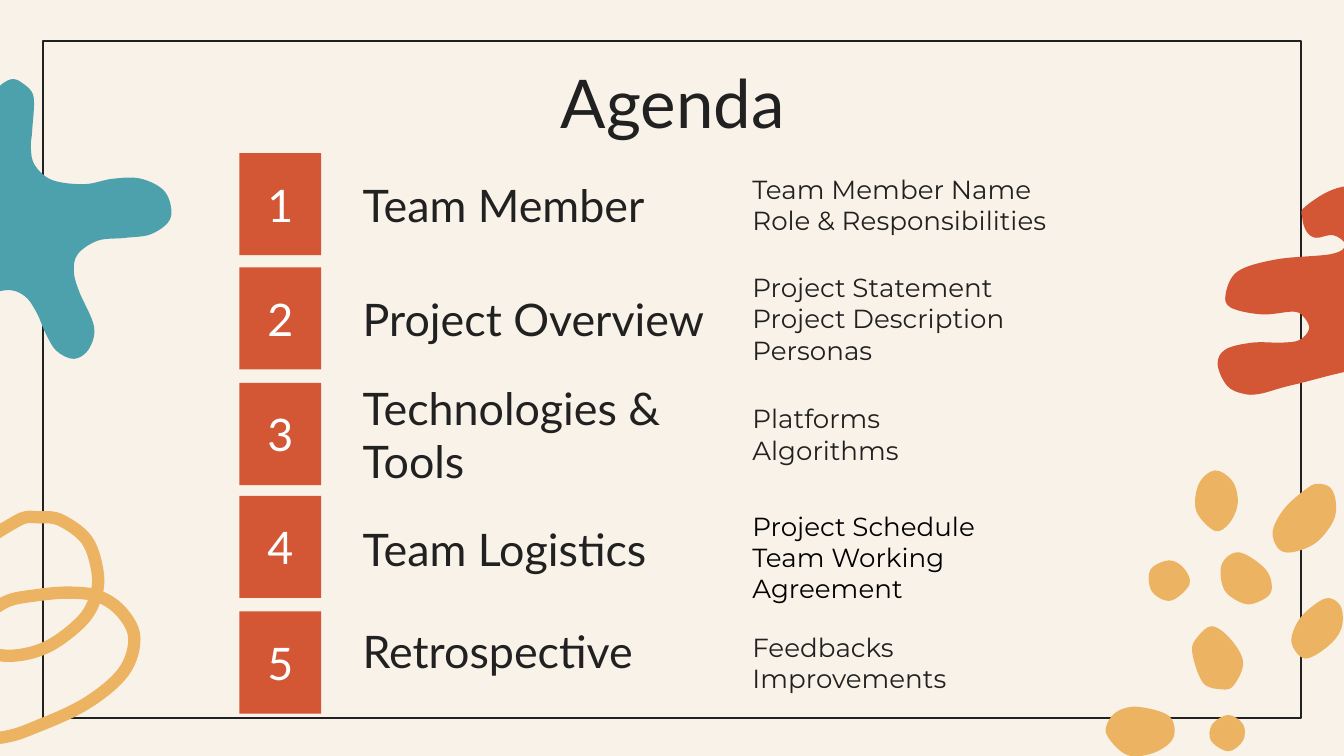
"""Build an agenda slide with five numbered topics among organic shapes."""
from lxml.etree import Element
from pptx import Presentation
from pptx.enum.shapes import MSO_SHAPE as Shape
from pptx.enum.text import MSO_ANCHOR as Anchor, PP_ALIGN as Align
from pptx.dml.color import RGBColor
from pptx.oxml.ns import qn
from pptx.util import Pt

INK, CREAM, WHITE = "212121", "F9F2E8", "FFFFFF"
RED, TEAL, GOLD = "D35635", "4DA1AD", "ECB462"
GRID = 0.72


def paint(fill, colour):
    fill.solid()
    fill.fore_color.rgb = RGBColor.from_string(colour)


def write(text, left, top, width, height, font="Lato", size=24, colour=INK,
          align=Align.LEFT, anchor=Anchor.MIDDLE, fill=None, inset=7.2):
    area = Pt(left), Pt(top), Pt(width), Pt(height)
    if fill:
        box = page.shapes.add_shape(Shape.RECTANGLE, *area)
        box.shadow.inherit = False
        paint(box.fill, fill)
        box.line.fill.background()
    else:
        box = page.shapes.add_textbox(*area)
    frame = box.text_frame
    frame.word_wrap = True
    frame.vertical_anchor = anchor
    frame.margin_left = frame.margin_right = Pt(7.2)
    frame.margin_top = frame.margin_bottom = Pt(inset)
    for index, line in enumerate(text.split("\n")):
        para = frame.add_paragraph() if index else frame.paragraphs[0]
        para.alignment = align
        span = para.add_run()
        span.text = line
        span.font.name = font
        span.font.size = Pt(size)
        paint(span.font.fill, colour)


deck = Presentation()
deck.slide_width, deck.slide_height = Pt(720), Pt(405)
page = deck.slides.add_slide(deck.slide_layouts[6])
paint(page.background.fill, CREAM)

border = page.shapes.add_shape(Shape.RECTANGLE, Pt(23), Pt(22), Pt(674), Pt(362.7))
border.shadow.inherit = False
border.fill.background()
paint(border.line.fill, INK)
border.line.width = Pt(0.75)

scribble = [
    (-48, 551), (0, 549), (29, 540), (65, 523), (92, 500), (100, 475),
    (91, 456), (74, 444), (52, 441), (27, 443), (4, 448), (-13, 463),
    (-9, 483), (9, 488), (36, 481), (62, 461), (72, 441), (72, 422), (64, 401),
    (45, 387), (30, 385), (12, 388), (-23, 417), (-53, 487), (-56, 506)]
splash = [
    (8, 59), (-3, 67), (-8, 81), (-21, 130), (-53, 104), (-74, 117),
    (-55, 149), (-36, 180), (-62, 202), (-87, 226), (-62, 245), (-21, 224), (4, 216),
    (18, 220), (27, 232), (34, 248), (42, 261), (55, 267), (66, 260), (70, 243),
    (59, 217), (55, 202), (58, 189), (73, 179), (93, 177), (113, 174), (127, 162),
    (123, 143), (105, 133), (84, 133), (63, 137), (39, 134), (26, 123), (23, 110),
    (24, 97), (25, 72), (17, 62)]
coral = [
    (906, 271), (913, 287), (925, 293), (938, 293), (964, 286), (1027, 273),
    (1093, 281), (1129, 276), (1124, 251), (1066, 245), (1052, 235), (1062, 224),
    (1114, 222), (1126, 205), (1113, 190), (1057, 189), (1034, 175), (1048, 164),
    (1077, 154), (1065, 143), (1030, 137), (995, 140), (971, 154), (969, 162),
    (972, 172), (979, 177), (992, 175), (1001, 182), (991, 189), (950, 193),
    (921, 202), (912, 219), (916, 229), (939, 234), (963, 232), (971, 237),
    (974, 245), (967, 253), (954, 255), (932, 255), (912, 260)]
pebbles = [
    [(981, 360), (973, 363), (956, 378), (947, 395), (951, 408), (961, 411),
     (979, 404), (992, 388), (994, 374), (990, 363)],
    [(904, 350), (892, 360), (890, 380), (904, 395), (915, 389), (921, 374), (917, 358)],
    [(922, 411), (909, 420), (911, 439), (925, 449), (936, 448), (946, 440), (942, 424)],
    [(870, 417), (856, 424), (857, 440), (871, 447), (885, 435), (881, 423)],
    [(902, 466), (891, 474), (887, 485), (895, 508), (909, 513), (918, 510),
     (925, 493), (916, 476)],
    [(989, 445), (978, 450), (966, 462), (961, 478), (971, 490), (988, 481),
     (998, 468), (998, 452)],
    [(847, 526), (832, 529), (824, 538), (824, 548), (839, 562), (859, 560),
     (873, 549), (870, 533)],
    [(914, 532), (902, 539), (901, 551), (914, 559), (925, 551), (925, 539)]]

outlines = [(scribble, GOLD, False), (splash, TEAL, True)]
outlines += [(pebble, GOLD, True) for pebble in pebbles]
outlines.append((coral, RED, True))
for cells, colour, closed in outlines:
    knots = [(Pt(GRID * x), Pt(GRID * y)) for x, y in cells]
    if closed:
        chain = knots[-1:] + knots + knots[:2]
    else:
        chain = knots[:1] + knots + knots[-1:]
    builder = page.shapes.build_freeform(*knots[0])
    builder.add_line_segments(chain[2:-1], close=closed)
    blob = builder.convert_to_shape()
    blob.shadow.inherit = False
    origin = blob.left, blob.top
    segments = list(blob.element.iter(qn("a:lnTo")))
    for segment, a, b, c, d in zip(segments, chain, chain[1:], chain[2:], chain[3:]):
        segment.tag = qn("a:cubicBezTo")
        handles = ([q + (r - p) / 6 for p, q, r in zip(a, b, c)],
                   [r - (s - q) / 6 for q, r, s in zip(b, c, d)])
        for place, handle in enumerate(handles):
            x, y = (str(round(value - start)) for value, start in zip(handle, origin))
            segment.insert(place, Element(qn("a:pt"), x=x, y=y))
    if closed:
        paint(blob.fill, colour)
        blob.line.fill.background()
    else:
        blob.fill.background()
        paint(blob.line.fill, colour)
        blob.line.width = Pt(6.6)

write("Agenda", 56.9, 25.9, 607, 52.6, size=36, align=Align.CENTER, anchor=Anchor.TOP)

topics = [
    (82.1, 82.1, 82.1, "Team Member", "Team Member Name\nRole & Responsibilities"),
    (143.3, 143.3, 143.3, "Project Overview",
     "Project Statement\nProject Description\nPersonas"),
    (205.2, 205.2, 205.2, "Technologies & Tools", "Platforms\nAlgorithms"),
    (265.7, 266.4, 269.3, "Team Logistics", "Project Schedule\nTeam Working Agreement"),
    (327.6, 321.1, 327.6, "Retrospective", "Feedbacks\nImprovements")]
for number, (tile_top, name_top, detail_top, name, details) in enumerate(topics, 1):
    narrow = number == 4
    write(str(number), 128.2, tile_top, 43.9, 54.7, colour=WHITE, align=Align.CENTER, fill=RED)
    write(name, 187.2, name_top, 203 if number == 2 else 187.2, 54.7)
    write(details, 396, detail_top, 146.2 if narrow else 187.2, 58.3 if narrow else 54.7,
          font="Montserrat", size=14, colour="000000" if narrow else INK,
          inset=3.6 if narrow else 7.2)

deck.save("out.pptx")
